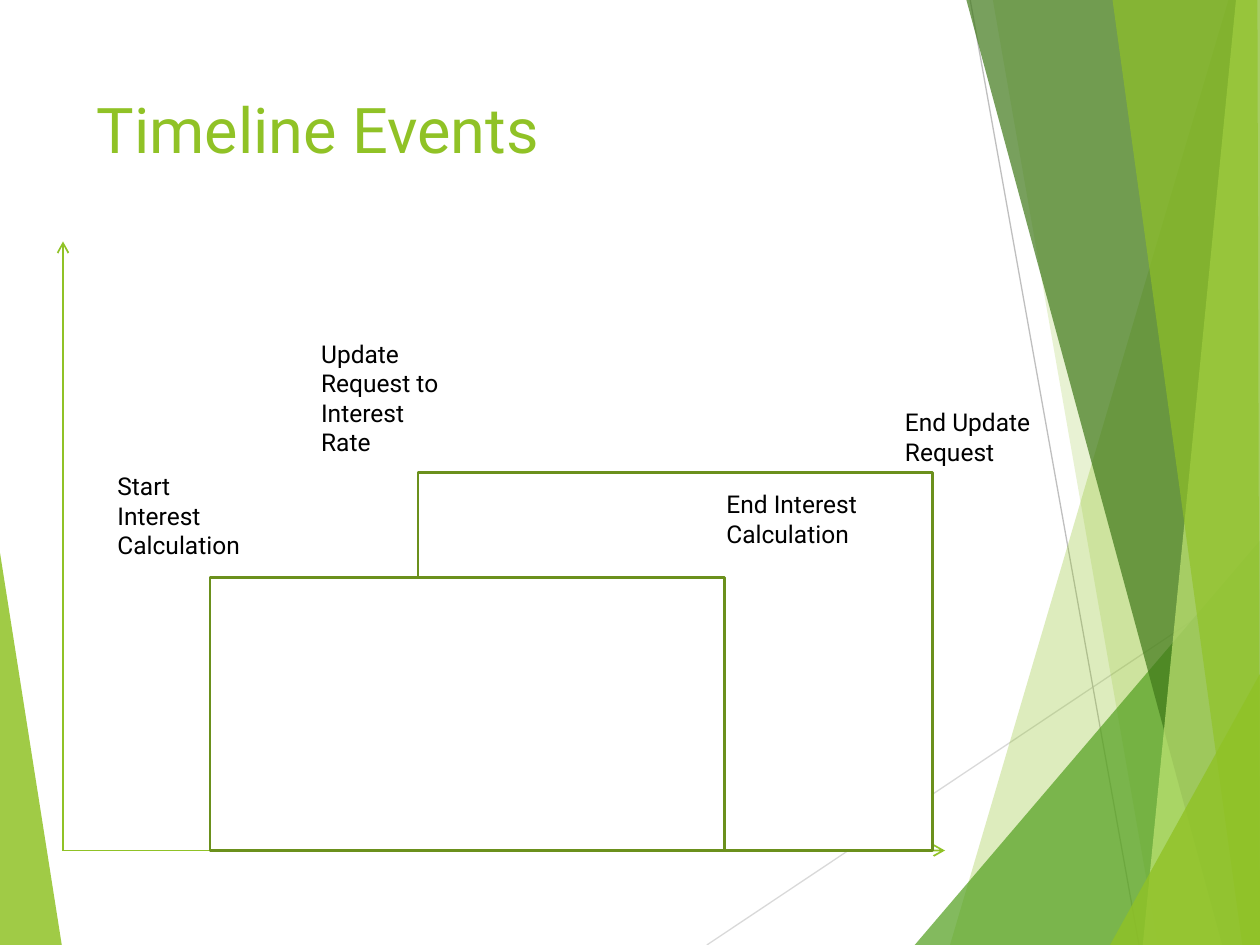
from pptx import Presentation
from pptx.dml.color import RGBColor as RGB
from pptx.enum.shapes import MSO_CONNECTOR as LINK, MSO_SHAPE as SHAPE
from pptx.enum.text import MSO_ANCHOR as ANCHOR, MSO_AUTO_SIZE as FIT, PP_ALIGN as ALIGN
from pptx.oxml.ns import qn
from pptx.util import Inches, Pt
from lxml.etree import SubElement as sub

LIME = RGB(0x90, 0xC2, 0x26)
OLIVE = RGB(0x6B, 0x90, 0x1C)
GREEN = RGB(0x54, 0xA0, 0x21)
FOREST = RGB(0x3F, 0x78, 0x19)
PALE = RGB(0xC0, 0xE4, 0x74)
SILVER = RGB(0xD9, 0xD9, 0xD9)
GREY = RGB(0xBF, 0xBF, 0xBF)
WHITE = RGB(255, 255, 255)
BLACK = RGB(0, 0, 0)

# Colour, opacity in percent, corners in percent of the slide's size
EDGE = [(LIME, 85, [(0, 58.5), (4.9, 100), (0, 100)])]
FACETS = [
    (LIME, 30, [(97.5, 0), (75.4, 100), (100, 100), (100, 0)]),
    (LIME, 20, [(78.8, 0), (91.9, 100), (100, 100), (100, 0)]),
    (GREEN, 72, [(72.6, 100), (100, 57.2), (100, 100)]),
    (FOREST, 70, [(76.7, 0), (97, 100), (100, 100), (100, 0)]),
    (PALE, 70, [(98.1, 0), (90.7, 100), (100, 100), (100, 0)]),
    (LIME, 65, [(88.3, 0), (98.6, 100), (100, 100), (99.8, 0)]),
    (LIME, 80, [(88.1, 100), (100, 71.3), (100, 100)]),
]


def write(frame, text, size=14, color=BLACK, font="Roboto"):
    frame.word_wrap = True
    frame.vertical_anchor = ANCHOR.TOP
    par = frame.paragraphs[0]
    par.alignment = ALIGN.LEFT
    run = par.add_run()
    run.text = text
    run.font.size, run.font.name = Pt(size), font
    run.font.color.rgb = color


class Deck:
    """Style and current slide; lengths are in a grid of 120 columns by 90 rows."""
    COLS, ROWS = 120, 90

    def __init__(self):
        self.prs = Presentation()
        self.prs.slide_width, self.prs.slide_height = Inches(10), Inches(7.5)
        self.slide = self.prs.slides.add_slide(self.prs.slide_layouts[5])
        self.shapes = self.slide.shapes

    def grid(self, *vals):
        units = (self.prs.slide_width / self.COLS, self.prs.slide_height / self.ROWS)
        return [round(v * units[i % 2]) for i, v in enumerate(vals)]

    def share(self, x, y):
        return self.grid(x * self.COLS / 100, y * self.ROWS / 100)

    def title(self, text, *at):
        box = self.shapes.title
        box.left, box.top, box.width, box.height = self.grid(*at)
        write(box.text_frame, text, size=36, color=LIME)

    def facet(self, color, alpha, points):
        first, *rest = [self.share(*p) for p in points]
        pen = self.shapes.build_freeform(*first, scale=1.0)
        pen.add_line_segments(rest, close=True)
        shape = pen.convert_to_shape()
        shape.shadow.inherit = False
        shape.fill.solid()
        shape.fill.fore_color.rgb = color
        shape.line.fill.background()
        tint = shape.element.spPr.find(qn("a:solidFill"))[0]
        sub(tint, qn("a:alpha"), val=str(alpha * 1000))

    def line(self, start, end, color, width, arrow=False):
        link = self.shapes.add_connector(LINK.STRAIGHT, *start, *end)
        link.line.color.rgb = color
        link.line.width = Pt(width)
        if arrow:
            sub(link.line._get_or_add_ln(), qn("a:tailEnd"), type="arrow")
        sub(link.element.spPr, qn("a:effectLst"))

    def axis(self, start, end):
        self.line(self.grid(*start), self.grid(*end), LIME, 1, arrow=True)

    def span(self, *at):
        """Draw the box that covers one period on the timeline."""
        box = self.shapes.add_shape(SHAPE.RECTANGLE, *self.grid(*at))
        box.shadow.inherit = False
        box.fill.solid()
        box.fill.fore_color.rgb = WHITE
        box.line.color.rgb = OLIVE
        box.line.width = Pt(1.5)

    def label(self, text, left, top, height):
        box = self.shapes.add_textbox(*self.grid(left, top, 15, height))
        write(box.text_frame, text)
        box.text_frame.auto_size = FIT.SHAPE_TO_FIT_TEXT

    def scene(self):
        for item in EDGE:
            self.facet(*item)
        self.line(self.share(56.1, 100), self.share(100, 60.9), SILVER, 0.75)
        self.line(self.share(77, 0), self.share(90.4, 100), GREY, 0.75)
        for item in FACETS:
            self.facet(*item)


def main():
    deck = Deck()
    deck.scene()
    deck.title("Timeline Events", 8, 8, 83.3, 17.3)
    base = 81
    for end in ((90, base), (6, 23)):
        deck.axis((6, base), end)
    deck.label("Start Interest Calculation", 10, 44.3, 9.7)
    deck.label("Update Request to Interest Rate", 29.4, 31.7, 12.5)
    for left, top in ((39.8, 45), (20, 55)):
        deck.span(left, top, 49, base - top)
    deck.label("End Interest Calculation", 68, 46, 9.7)
    deck.label("End Update Request", 85, 38.2, 6.8)
    deck.prs.save("out.pptx")


if __name__ == "__main__":
    main()
